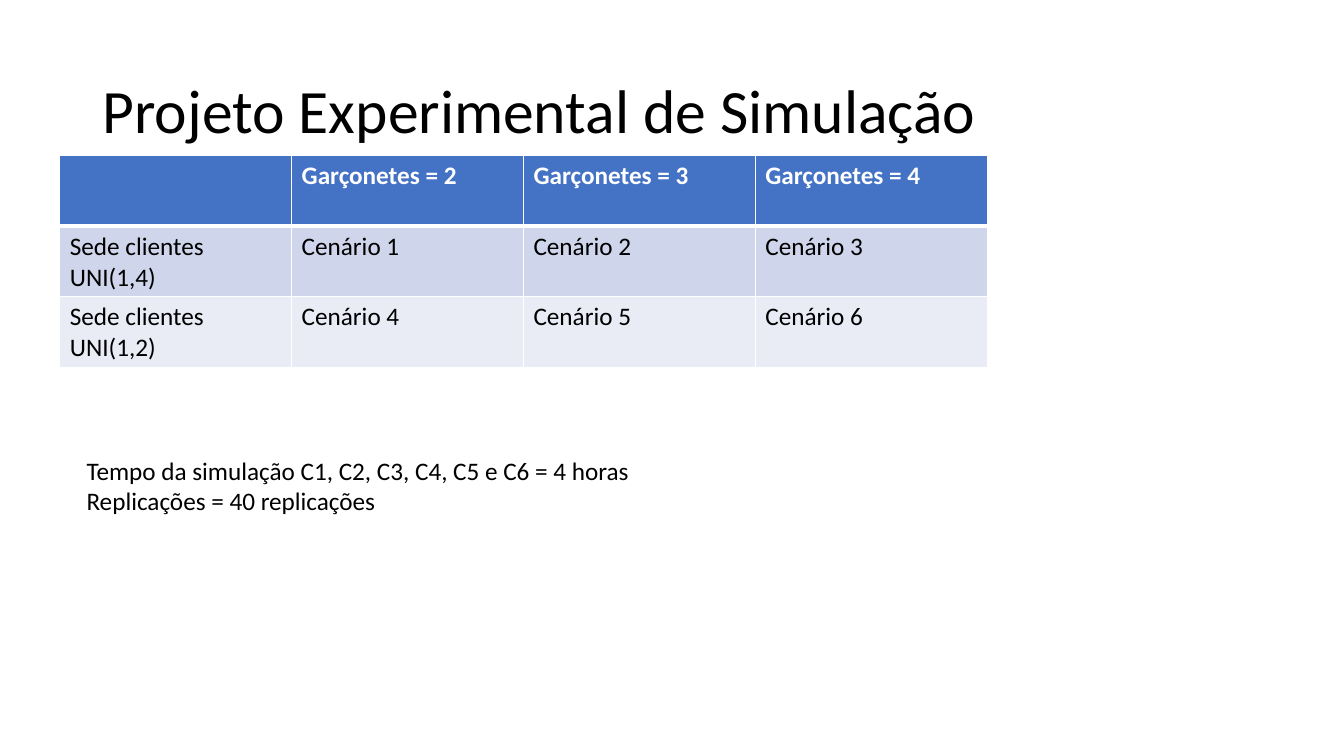
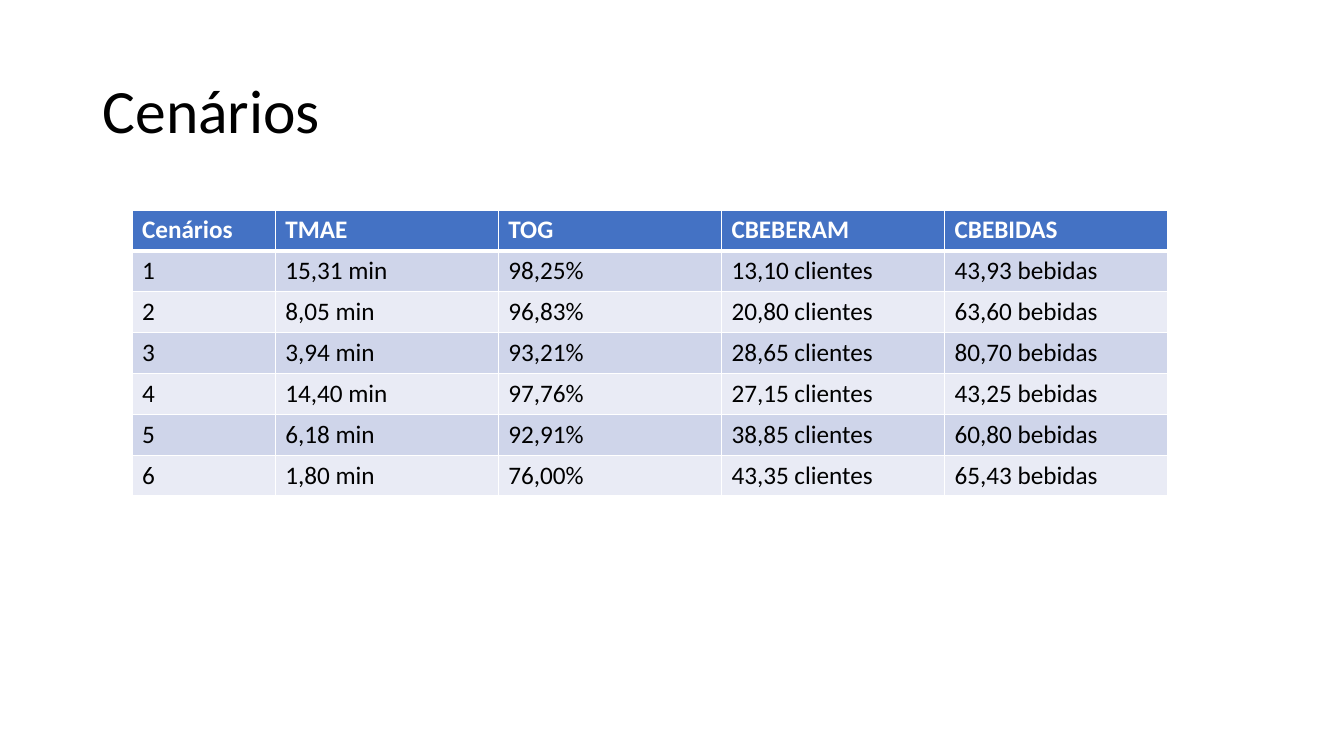
from lxml import etree
from pptx import Presentation
from pptx import util as u
from pptx.dml.color import RGBColor
from pptx.enum import text
from pptx.oxml.ns import qn


def color(value):
    return RGBColor.from_string(value)


def write(frame, content, size=18, ink="000000", bold=False, spacing=None):
    """Fill a text frame, one paragraph per line of content."""
    for index, line in enumerate(content.split("\n")):
        paragraph = frame.paragraphs[0] if index == 0 else frame.add_paragraph()
        paragraph.line_spacing = spacing
        if not line:
            continue
        run = paragraph.add_run()
        run.text = line
        run.font.name = Deck.FONT
        run.font.size = u.Pt(size)
        run.font.bold = bold
        run.font.color.rgb = color(ink)


class Deck:
    """Shared style and current slide; lengths are percent of the slide."""
    FONT = "Calibri"
    WHITE = "FFFFFF"
    HEADER = "4472C4"
    BANDS = ("CFD5EA", "E9EBF5")

    def __init__(self):
        self.presentation = Presentation()
        self.presentation.slide_width = u.Inches(13.33)
        self.presentation.slide_height = u.Inches(7.5)
        self.slide = None

    def across(self, share):
        return round(self.presentation.slide_width * share / 100)

    def down(self, share):
        return round(self.presentation.slide_height * share / 100)

    def add_slide(self, title):
        layout = self.presentation.slide_layouts[6]
        self.slide = self.presentation.slides.add_slide(layout)
        self.add_text(title, 6.9, 5.33, 86.25, 19.33,
                      anchor=text.MSO_ANCHOR.MIDDLE, size=44, spacing=0.9)

    def add_text(self, content, left, top, width, height,
                 anchor=text.MSO_ANCHOR.TOP, **style):
        shape = self.slide.shapes.add_textbox(
            self.across(left), self.down(top), self.across(width), self.down(height))
        frame = shape.text_frame
        frame.word_wrap = True
        frame.vertical_anchor = anchor
        write(frame, content, **style)

    def add_border(self, cell, side, points):
        properties = cell._tc.get_or_add_tcPr()
        line = etree.SubElement(properties, qn(f"a:ln{side}"), w=str(u.Pt(points)))
        fill = etree.SubElement(line, qn("a:solidFill"))
        etree.SubElement(fill, qn("a:srgbClr"), val=self.WHITE)

    def add_table(self, rows, left, top, widths, row_height):
        shape = self.slide.shapes.add_table(
            len(rows), len(widths), self.across(left), self.down(top),
            self.across(sum(widths)), self.down(row_height * len(rows)))
        table = shape.table
        table.first_row = table.horz_banding = False
        for column, width in zip(table.columns, widths):
            column.width = self.across(width)
        for index, values in enumerate(rows):
            table.rows[index].height = self.down(row_height)
            header = index == 0
            fill = self.HEADER if header else self.BANDS[(index - 1) % 2]
            # A thick rule separates the header from the body
            borders = {"L": 1, "R": 1, "T": 3 if index == 1 else 1, "B": 3 if header else 1}
            for cell, value in zip(table.rows[index].cells, values):
                for side, points in borders.items():
                    self.add_border(cell, side, points)
                cell.fill.solid()
                cell.fill.fore_color.rgb = color(fill)
                write(cell.text_frame, value, bold=header,
                      ink=self.WHITE if header else "000000")


deck = Deck()

# Slide 1: experimental design
deck.add_slide("Projeto Experimental de Simulação")
design = [[""] + [f"Garçonetes = {count}" for count in (2, 3, 4)]]
for first, limit in ((1, 4), (4, 2)):
    design.append([f"Sede clientes\nUNI(1,{limit})"]
                  + [f"Cenário {number}" for number in range(first, first + 3)])
deck.add_table(design, 4.45, 20.6, [17.25] * 4, 9.33)
deck.add_text("Tempo da simulação C1, C2, C3, C4, C5 e C6 = 4 horas\n"
              "Replicações = 40 replicações", 5.7, 59.6, 85, 13.47)

# Slide 2: results of each scenario
deck.add_slide("Cenários")
results = [
    ("15,31", "98,25", "13,10", "43,93"),
    ("8,05", "96,83", "20,80", "63,60"),
    ("3,94", "93,21", "28,65", "80,70"),
    ("14,40", "97,76", "27,15", "43,25"),
    ("6,18", "92,91", "38,85", "60,80"),
    ("1,80", "76,00", "43,35", "65,43"),
]
scenarios = [["Cenários", "TMAE", "TOG", "CBEBERAM", "CBEBIDAS"]]
for number, (wait, usage, clients, drinks) in enumerate(results, 1):
    scenarios.append([str(number), f"{wait} min", f"{usage}%",
                      f"{clients} clientes", f"{drinks} bebidas"])
deck.add_table(scenarios, 9.82, 27.77, [10.66] + [16.6] * 4, 5.41)

deck.presentation.save("out.pptx")
